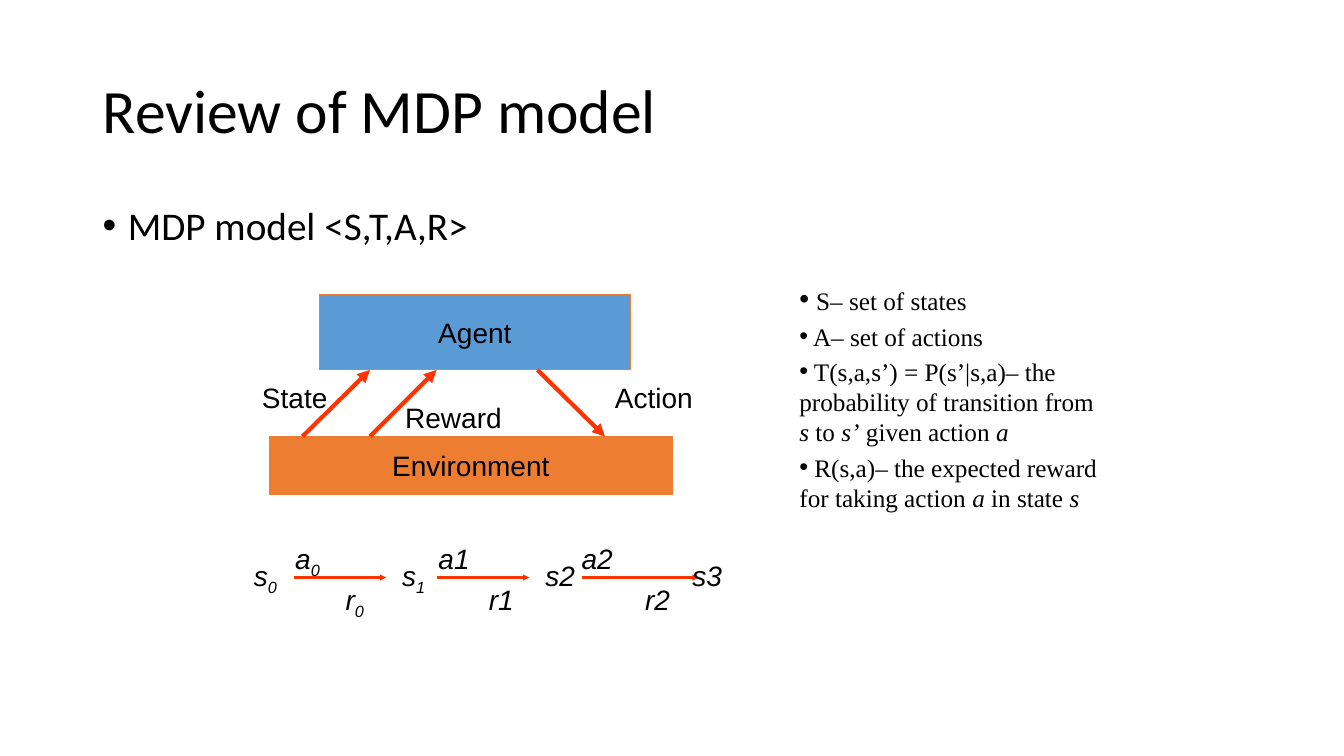
from lxml.etree import SubElement
from pptx import Presentation
from pptx.dml.color import RGBColor
from pptx.enum.shapes import MSO_CONNECTOR, MSO_SHAPE
from pptx.enum.text import MSO_ANCHOR, MSO_AUTO_SIZE, PP_ALIGN
from pptx.oxml.ns import qn
from pptx.util import Inches, Pt

BLACK = RGBColor(0, 0, 0)
BLUE = RGBColor(0x5B, 0x9B, 0xD5)
ORANGE = RGBColor(0xED, 0x7D, 0x31)
RED = RGBColor(0xFF, 0x33, 0x00)

TITLE = "Review of MDP model"
TOPIC = "MDP model <S,T,A,R>"
# label, left, top, width, height, fill
BLOCKS = [
    ("Agent", 3.17, 2.92, 3.08, 0.75, BLUE),
    ("Environment", 2.67, 4.33, 4, 0.58, ORANGE),
]
AGENT_BOTTOM, ENVIRONMENT_TOP = 3.67, 4.33
# start x, start y, end x, end y
SIGNALS = [
    (3, ENVIRONMENT_TOP, 3.67, AGENT_BOTTOM),
    (3.67, ENVIRONMENT_TOP, 4.33, AGENT_BOTTOM),
    (5.33, AGENT_BOTTOM, 6, ENVIRONMENT_TOP),
]
# label, left, top, width
SIGNAL_LABELS = [("State", 2.5, 3.73, 0.85), ("Reward", 3.92, 3.92, 1.16),
                 ("Action", 6, 3.73, 0.97)]
# (letter, subscript), left, width
STATES = [(("s", "0"), 2.42, 0.45), (("s", "1"), 3.89, 0.45),
          (("s2", ""), 5.31, 0.5), (("s3", ""), 6.77, 0.56)]
ACTIONS = [(("a", "0"), 2.83, 0.46), (("a1", ""), 4.25, 0.51), (("a2", ""), 5.67, 0.51)]
REWARDS = [(("r", "0"), 3.33, 0.4), (("r1", ""), 4.75, 0.45), (("r2", ""), 6.3, 0.45)]
CHAIN_ROWS = [(STATES, 5.49), (ACTIONS, 5.32), (REWARDS, 5.73)]
CHAIN_Y = 5.73
STEPS = [(2.92, 3.83), (4.33, 5.25), (5.77, 6.93)]
# Runs of each definition alternate between upright and italic
DEFINITIONS = [
    ["S– set of states"],
    [" A– set of actions"],
    [" T(s,a,s’) = P(s’|s,a)– the probability of transition from ", "s ", "to ", "s’",
     " given action", " a"],
    [" R(s,a)– the expected reward for taking action ", "a ", "in state ", "s"],
]

prs = Presentation()
prs.slide_width, prs.slide_height = Inches(13.33), Inches(7.5)
slide = prs.slides.add_slide(prs.slide_layouts[6])


def add_frame(left, top, width, height, wrap=True):
    box = slide.shapes.add_textbox(Inches(left), Inches(top), Inches(width), Inches(height))
    box.text_frame.word_wrap = wrap
    return box.text_frame


def set_font(paragraph, name, size, italic=None):
    font = paragraph.font
    font.name, font.size, font.italic = name, Pt(size), italic
    font.color.rgb = BLACK


def add_bullet(paragraph, hang=0):
    properties = paragraph._p.get_or_add_pPr()
    properties.set("marL", str(Inches(hang)))
    properties.set("indent", str(-Inches(hang)))
    SubElement(properties, qn("a:buFont")).set("typeface", "Arial")
    SubElement(properties, qn("a:buChar")).set("char", "•")


def add_arrow(x1, y1, x2, y2, width, head):
    arrow = slide.shapes.add_connector(MSO_CONNECTOR.STRAIGHT, *map(Inches, (x1, y1, x2, y2)))
    arrow.line.color.rgb = RED
    arrow.line.width = Pt(width)
    tail = SubElement(arrow.line._get_or_add_ln(), qn("a:tailEnd"))
    for key, setting in (("type", "triangle"), ("w", head), ("len", head)):
        tail.set(key, setting)
    SubElement(arrow._element.spPr, qn("a:effectLst"))


def add_label(text, left, top, width, subscript="", italic=None):
    frame = add_frame(left, top, width, 0.44, wrap=False)
    frame.auto_size = MSO_AUTO_SIZE.SHAPE_TO_FIT_TEXT
    paragraph = frame.paragraphs[0]
    paragraph.add_run().text = text
    if subscript:
        index = paragraph.add_run()
        index.text = subscript
        index._r.get_or_add_rPr().set("baseline", "-25000")
    set_font(paragraph, "Arial", 20, italic)


title_frame = add_frame(0.92, 0.4, 11.5, 1.45)
title_frame.vertical_anchor = MSO_ANCHOR.MIDDLE
title = title_frame.paragraphs[0]
title.text = TITLE
title.line_spacing = 0.9
set_font(title, "Calibri", 44)

topic = add_frame(0.92, 2, 11.5, 0.6).paragraphs[0]
topic.text = TOPIC
topic.line_spacing = 0.9
add_bullet(topic, 0.25)
set_font(topic, "Calibri", 28)

for label, left, top, width, height, fill in BLOCKS:
    block = slide.shapes.add_shape(MSO_SHAPE.RECTANGLE, Inches(left), Inches(top),
                                   Inches(width), Inches(height))
    block.shadow.inherit = False
    block.fill.solid()
    block.fill.fore_color.rgb = fill
    block.line.color.rgb = ORANGE
    block.line.width = Pt(0.75)
    block.text_frame.word_wrap = False
    block.text_frame.vertical_anchor = MSO_ANCHOR.MIDDLE
    caption = block.text_frame.paragraphs[0]
    caption.text = label
    caption.alignment = PP_ALIGN.CENTER
    set_font(caption, "Arial", 20)

for signal in SIGNALS:
    add_arrow(*signal, 3, "med")
for signal_label in SIGNAL_LABELS:
    add_label(*signal_label)

for start, end in STEPS:
    add_arrow(start, CHAIN_Y, end, CHAIN_Y, 2.25, "sm")
for symbols, top in CHAIN_ROWS:
    for (letter, subscript), left, width in symbols:
        add_label(letter, left, top, width, subscript, italic=True)

definitions_frame = add_frame(7.83, 2.75, 3.25, 4.25)
for number, parts in enumerate(DEFINITIONS):
    if number == 0:
        definition = definitions_frame.paragraphs[0]
        lead = definition.add_run()  # larger first run, which also sizes its bullet
        lead.text = " "
        lead.font.size = Pt(20)
    else:
        definition = definitions_frame.add_paragraph()
        definition.space_before = Pt(3.6)
    add_bullet(definition)
    set_font(definition, "Times New Roman", 18)
    for position, part in enumerate(parts):
        run = definition.add_run()
        run.text = part
        if position % 2:
            run.font.italic = True

prs.save("out.pptx")
